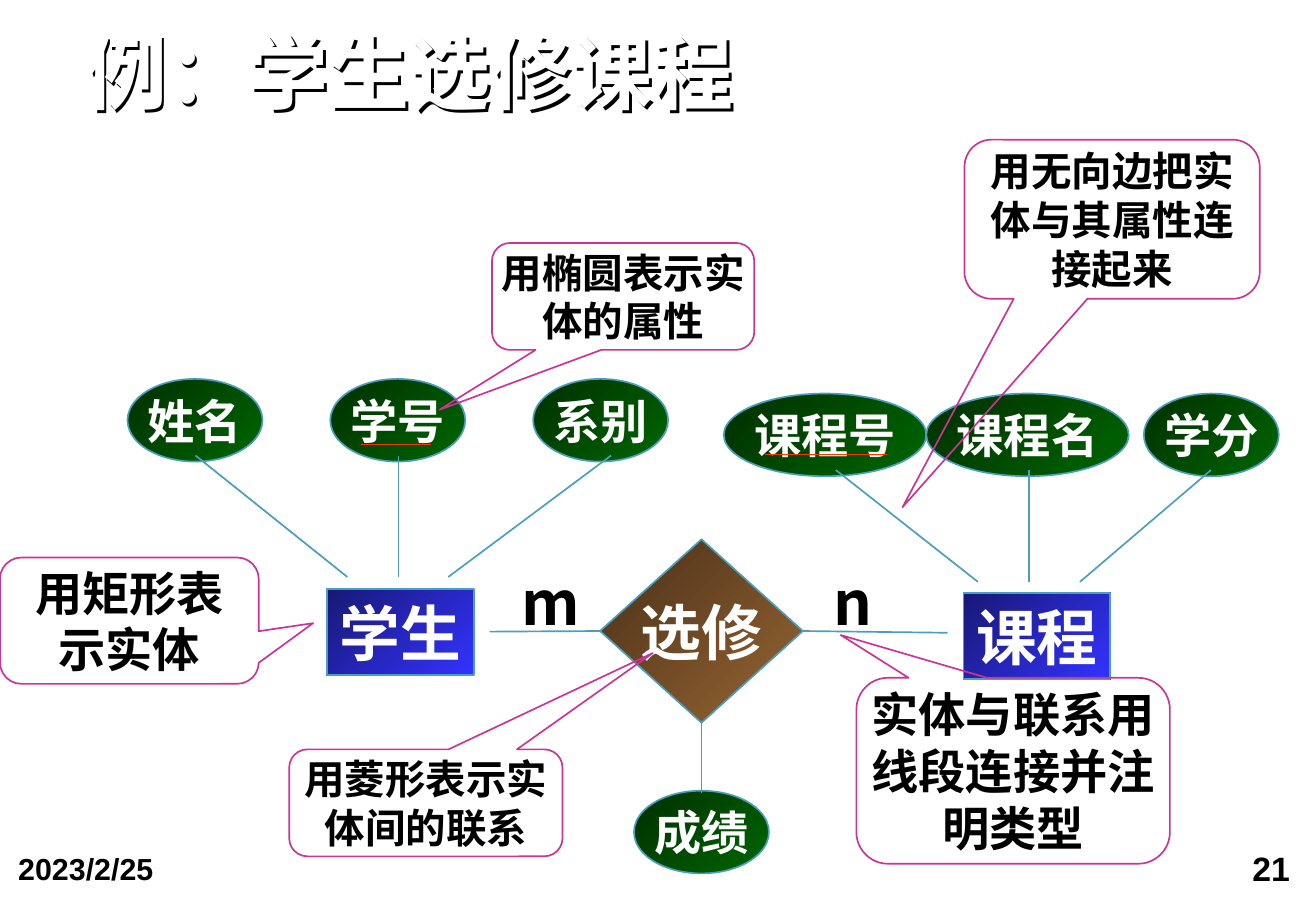
from lxml import etree
from pptx import Presentation
from pptx.dml.color import RGBColor
from pptx.enum.shapes import MSO_CONNECTOR, MSO_SHAPE
from pptx.enum.text import MSO_ANCHOR, PP_ALIGN
from pptx.oxml.ns import qn
from pptx.util import Pt

LINE = MSO_CONNECTOR.STRAIGHT
RECT, OVAL, GEM = MSO_SHAPE.RECTANGLE, MSO_SHAPE.OVAL, MSO_SHAPE.DIAMOND
BUBBLE = MSO_SHAPE.ROUNDED_RECTANGULAR_CALLOUT
TOP, MIDDLE, BOTTOM = MSO_ANCHOR.TOP, MSO_ANCHOR.MIDDLE, MSO_ANCHOR.BOTTOM
LEFT, CENTER, RIGHT = PP_ALIGN.LEFT, PP_ALIGN.CENTER, PP_ALIGN.RIGHT

WHITE = RGBColor(0xFF, 0xFF, 0xFF)
BLACK = RGBColor(0x00, 0x00, 0x00)
TEAL = RGBColor(0x49, 0x9F, 0xBD)
PINK = RGBColor(0xCC, 0x33, 0x99)
RED = RGBColor(0xFF, 0x33, 0x00)
BLUES = RGBColor(0x18, 0x18, 0x76), RGBColor(0x33, 0x33, 0xFF)
BROWNS = RGBColor(0x47, 0x2F, 0x18), RGBColor(0x99, 0x66, 0x33)
GREENS = RGBColor(0x00, 0x2F, 0x00), RGBColor(0x00, 0x66, 0x00)

ARIAL, JP, SC = "Arial", "Noto Sans CJK JP", "Noto Sans CJK SC"

deck = Presentation()
deck.slide_width, deck.slide_height = Pt(780), Pt(540)
slide = deck.slides.add_slide(deck.slide_layouts[5])
shapes = slide.shapes


def write(shape, lines, size, face, color, align=CENTER, anchor=MIDDLE,
          pad=(0, 0), wrap=True):
    """Fill a shape with bold lines; pad is the side and the top inset."""
    frame = shape.text_frame
    frame.word_wrap = wrap
    frame.vertical_anchor = anchor
    frame.margin_left = frame.margin_right = Pt(pad[0])
    frame.margin_top = frame.margin_bottom = Pt(pad[1])
    for i, line in enumerate(lines):
        para = frame.add_paragraph() if i else frame.paragraphs[0]
        para.alignment = align
        run = para.add_run()
        run.text = line
        run.font.size, run.font.bold = Pt(size), True
        run.font.color.rgb = color
        run.font.name = face
        east = etree.SubElement(run.font._element, qn("a:ea"))
        east.set("typeface", SC if face == ARIAL else face)


def link(x1, y1, x2, y2, color=TEAL, width=1):
    line = shapes.add_connector(LINE, Pt(x1), Pt(y1), Pt(x2), Pt(y2))
    line.line.color.rgb = color
    line.line.width = Pt(width)
    etree.SubElement(line._element.spPr, qn("a:effectLst"))
    return line


# Title: an unfilled shape casts its shadow from the text
title = shapes.title
title.left, title.top, title.width, title.height = Pt(51), Pt(20), Pt(695), Pt(52)
write(title, ["例：学生选修课程"], 48, ARIAL, WHITE, LEFT, BOTTOM)
title.text_frame.paragraphs[0].line_spacing = 0.9
title.fill.background()
glow = etree.SubElement(title._element.spPr, qn("a:effectLst"))
shade = etree.SubElement(glow, qn("a:outerShdw"), dist=str(Pt(2)),
                         dir="2700000", algn="ctr", rotWithShape="0")
etree.SubElement(shade, qn("a:srgbClr"), val=str(BLACK))

# Entities, relation and attributes
nodes = [
    (RECT, "学生", 193.7, 349.2, 87.1, 51.1, 36, BLUES),
    (RECT, "课程", 571, 351.4, 87.1, 51.1, 36, BLUES),
    (GEM, "选修", 355.7, 319.7, 120.2, 108.7, 36, BROWNS),
]
ovals = [
    ("姓名", 75.6, 224.6, 80), ("学号", 195.8, 224.6, 80),
    ("系别", 316, 224.6, 80), ("课程号", 429, 233.3, 120),
    ("课程名", 549, 233.3, 120), ("学分", 678, 233.3, 80),
    ("成绩", 375.8, 468.7, 80),
]
nodes += [(OVAL, name, x, y, w, 49, 28, GREENS) for name, x, y, w in ovals]
made = {}
for kind, name, x, y, w, h, size, tones in nodes:
    node = shapes.add_shape(kind, Pt(x), Pt(y), Pt(w), Pt(h))
    node.shadow.inherit = False
    node.fill.gradient()
    node.fill.gradient_angle = 315
    for stop, tone, spot in zip(node.fill.gradient_stops, tones, (0, 1)):
        stop.color.rgb = tone
        stop.position = spot
    node.line.color.rgb = TEAL
    node.line.width = Pt(1)
    write(node, [name], size, JP, WHITE, wrap=False)
    made[name] = node

# Edges between entities and attributes
for edge in [
    (236.2, 270, 236.2, 342), (205.9, 342, 115.9, 270),
    (265.7, 342, 362.2, 270), (579.6, 344.9, 495.4, 278.6),
    (640.1, 344.9, 717.8, 278.6), (609.8, 278.6, 609.8, 344.9),
]:
    link(*edge)

# Edges that start at the relation
for side, x1, y1, x2, y2 in [
    (1, 355.7, 374, 290.2, 374.4), (3, 475.9, 374, 561.6, 375.1),
    (2, 415.8, 428.4, 415.8, 470.2),
]:
    link(x1, y1, x2, y2).begin_connect(made["选修"], side)

# Callouts
for lines, x, y, w, h, size, dx, dy in [
    (["用矩形表", "示实体"], 0, 330.5, 153.4, 74.9, 28, 0.71, 0.02),
    (["用椭圆表示实体的属性"], 291.6, 144, 155.5, 63.4, 24, -0.7, 1.06),
    (["用无向边把实体与其属性连接起来"], 571.7, 82.8, 175, 94.3, 24, -0.71, 1.81),
    (["用菱形表示实体间的联系"], 171.4, 444.2, 162, 63.4, 24, 0.83, -1.4),
    (["实体与联系用线段连接并注明类型"], 507.6, 401.8, 185.8, 110.2, 28,
     -0.55, -0.73),
]:
    note = shapes.add_shape(BUBBLE, Pt(x), Pt(y), Pt(w), Pt(h))
    note.shadow.inherit = False
    note.fill.background()
    note.line.color.rgb = PINK
    note.line.width = Pt(1)
    note.adjustments[0], note.adjustments[1] = dx, dy
    note.adjustments[2] = 0.17
    write(note, lines, size, SC, BLACK)

# Ratio marks
for mark, x in [("m", 309.2), ("n", 493.9)]:
    box = shapes.add_textbox(Pt(x), Pt(344.2), Pt(23.8), Pt(23.8))
    write(box, [mark], 36, JP, BLACK, wrap=False)

# Key underlines
for x1, x2, y in [(453.6, 525.6, 269.3), (213.8, 255.6, 263.5)]:
    link(x1, y, x2, y, RED, 0.75)

# Footer
for words, x, y, w, h, size, align in [
    ("21", 576.7, 498.2, 197.3, 41.8, 20, RIGHT),
    ("2023/2/25", 1.4, 499.7, 180.7, 45.4, 18, LEFT),
]:
    box = shapes.add_textbox(Pt(x), Pt(y), Pt(w), Pt(h))
    write(box, [words], size, ARIAL, BLACK, align, TOP, (9.4, 4.3))

deck.save("out.pptx")
